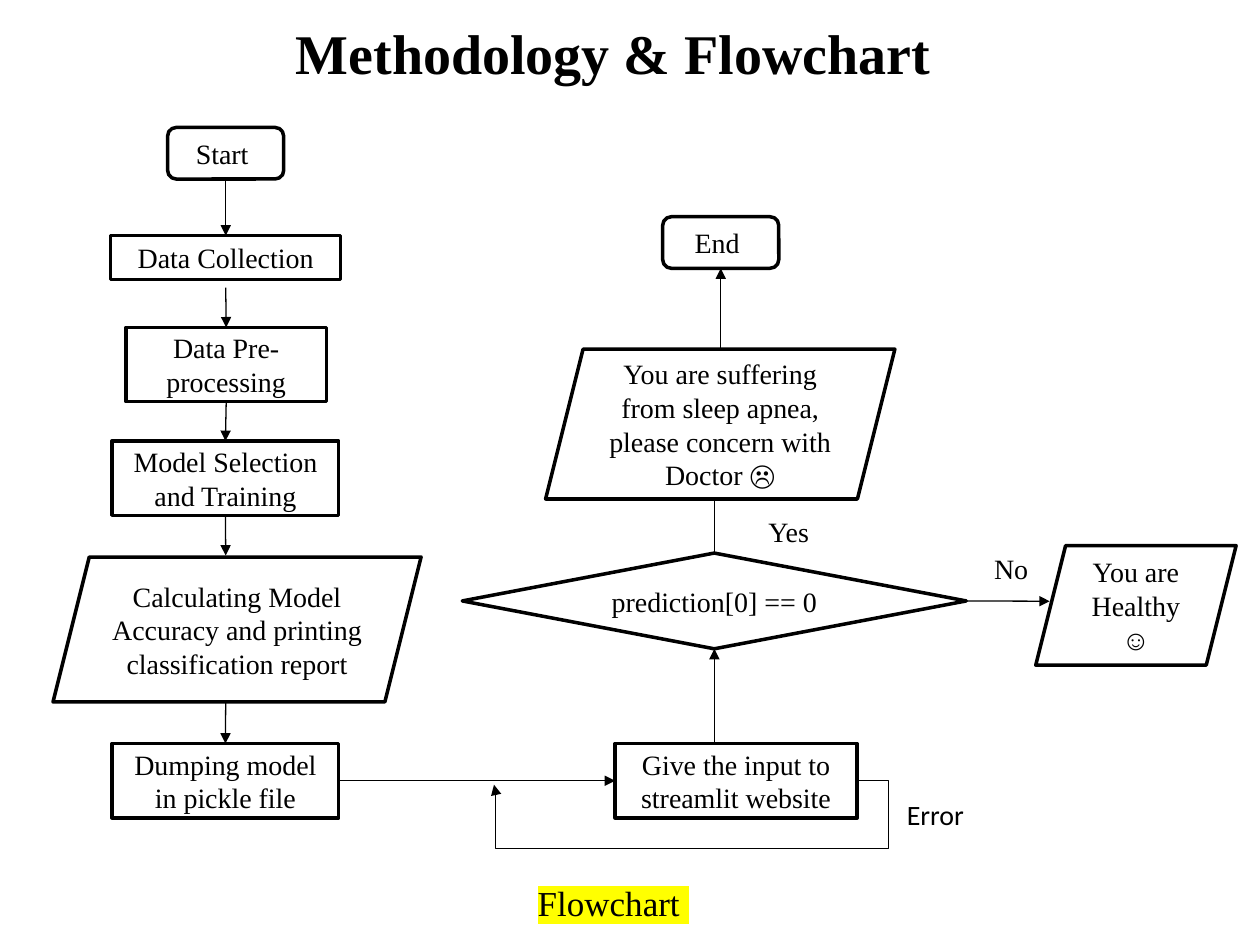
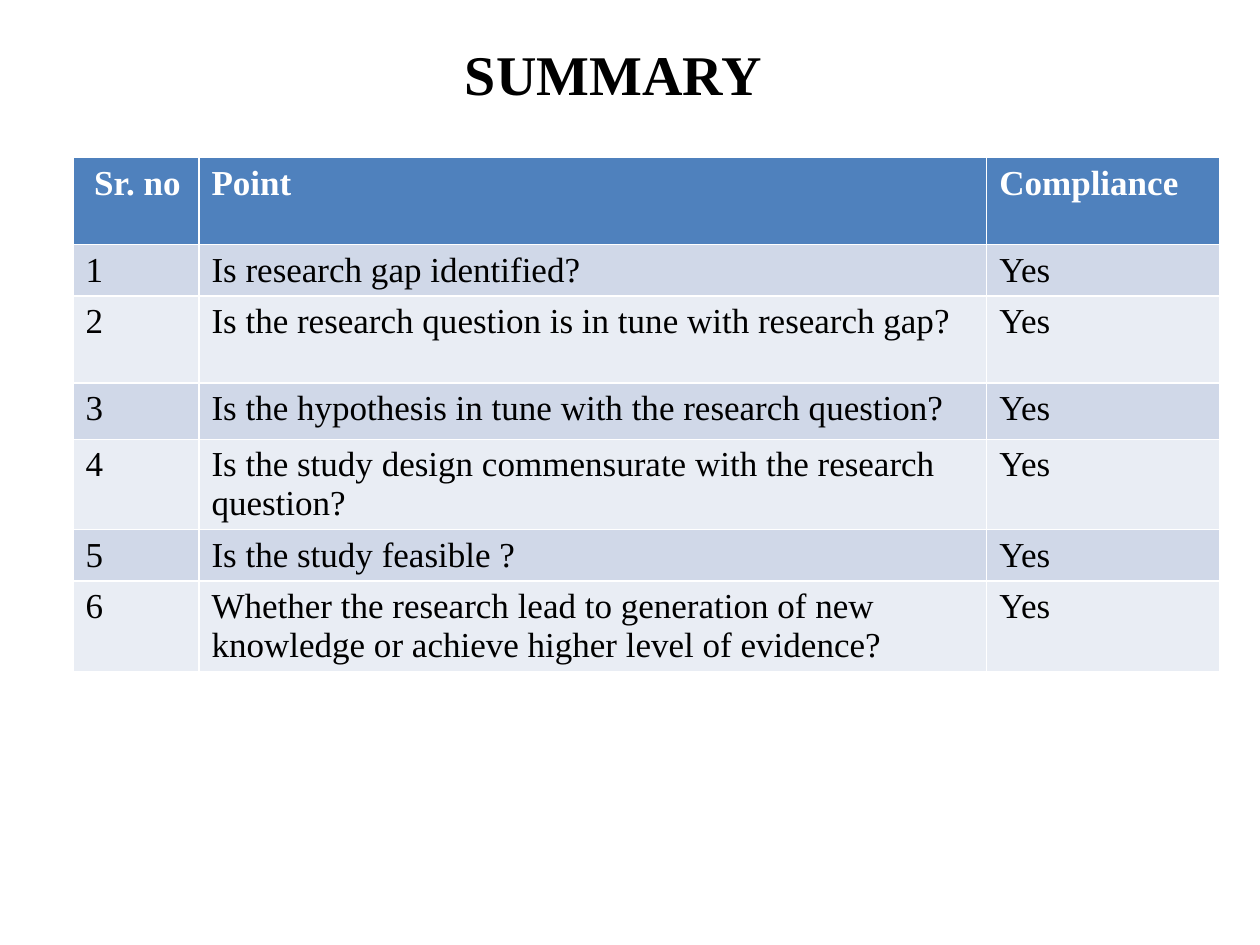
"""Build a flowchart slide and a summary table slide."""
import dataclasses

import pptx
import pptx.dml.color
import pptx.enum.shapes
import pptx.enum.text
import pptx.oxml
import pptx.oxml.ns
import pptx.util

Cm, Pt = pptx.util.Cm, pptx.util.Pt
Kind = pptx.enum.shapes.MSO_SHAPE
Wire = pptx.enum.shapes.MSO_CONNECTOR
Align = pptx.enum.text.PP_ALIGN
Anchor = pptx.enum.text.MSO_ANCHOR
TOP, LEFT, BOTTOM, RIGHT = range(4)


@dataclasses.dataclass(frozen=True)
class Theme:
    """Colours, fonts, type sizes and line widths."""
    font: str = "Times New Roman"
    plain: str = "Calibri"
    ink: str = "000000"
    paper: str = "FFFFFF"
    mark: str = "FFFF00"
    head: str = "4F81BD"
    bands: tuple = ("D0D8E8", "E9EDF4")
    title: int = 32
    large: int = 20
    small: int = 16
    edge: float = 2
    thin: float = 0.75


THEME = Theme()

BOXES = {
    "start": (Kind.ROUNDED_RECTANGLE, 3.38, 2.57, 2.34, 1.04, "Start "),
    "collect": (Kind.RECTANGLE, 2.23, 4.75, 4.64, 0.89, "Data Collection"),
    "prep": (Kind.RECTANGLE, 2.54, 6.6, 4.04, 1.5, "Data Pre-processing"),
    "train": (Kind.RECTANGLE, 2.26, 8.89, 4.57, 1.5,
              "Model Selection and Training"),
    "report": (Kind.PARALLELOGRAM, 1.07, 11.23, 7.42, 2.92,
               "Calculating Model Accuracy and printing classification report"),
    "dump": (Kind.RECTANGLE, 2.26, 14.99, 4.57, 1.5,
             "Dumping model in pickle file"),
    "input": (Kind.RECTANGLE, 12.4, 14.99, 4.88, 1.5,
              "Give the input to streamlit website"),
    "test": (Kind.DIAMOND, 9.32, 11.15, 10.16, 1.93, "prediction[0] == 0"),
    "ill": (Kind.PARALLELOGRAM, 11, 7.04, 7.04, 3.02,
            "You are suffering from sleep apnea, please concern with Doctor ☹"),
    "well": (Kind.PARALLELOGRAM, 20.88, 11, 4.04, 2.41, "You are Healthy ☺"),
    "end": (Kind.ROUNDED_RECTANGLE, 13.36, 4.37, 2.34, 1.04, "End "),
}

LINKS = [
    (("start", BOTTOM), ("collect", TOP), True),
    ((4.55, 5.8), ("prep", TOP), True),
    (("prep", BOTTOM), ("train", TOP), True),
    (("train", BOTTOM), (4.55, 11.2), True),
    ((4.55, 14.15), ("dump", TOP), True),
    (("dump", RIGHT), ("input", LEFT), True),
    ((14.4, 14.99), ("test", BOTTOM), True),
    (("test", TOP), (14.4, 10.06), False),
    (("test", RIGHT), (21.16, 12.12), True),
    ((14.53, 7.04), ("end", BOTTOM), True),
]

LOOP = {"start": (17.28, 15.74), "end": (9.96, 15.82),
        "out": 0.64, "drop": 1.37, "back": 0.995}

NOTES = [
    (15.24, 10.24, "Yes", THEME.font, THEME.small, None),
    (19.79, 11, "No", THEME.font, THEME.small, None),
    (18.03, 15.95, "Error", THEME.plain, THEME.small, None),
    (10.59, 17.65, "Flowchart ", THEME.font, THEME.large, THEME.mark),
]

HEAD = (" Sr. no", "Point", "Compliance")
POINTS = [
    ("Is research gap identified?", 1),
    ("Is the research question is in tune with research gap?", 1.75),
    ("Is the hypothesis in tune with the research question?", 1.14),
    ("Is the study design commensurate with the research question?", 1.75),
    ("Is the study feasible ?", 1),
    ("Whether the research lead to generation of new knowledge or achieve "
     "higher level of evidence?", 1.75),
]
REPLY = "Yes"
COLS = (2.54, 15.88, 4.7)
TALL = 1.75


def rgb(code):
    """Turn a hex code into a colour."""
    return pptx.dml.color.RGBColor.from_string(code)


def write(frame, text, size, font=THEME.font, ink=THEME.ink, bold=False,
          align=None):
    """Put one formatted line of text into a frame."""
    frame.text = text
    para = frame.paragraphs[0]
    para.alignment = align
    face = para.runs[0].font
    face.size, face.name, face.bold = Pt(size), font, bold
    face.color.rgb = rgb(ink)
    return para.runs[0]


def new_slide(deck, text, top):
    """Add a slide with a title."""
    slide = deck.slides.add_slide(deck.slide_layouts[5])
    head = slide.shapes.title
    head.left, head.top = Cm(1.47), Cm(top)
    head.width, head.height = Cm(21.79), Cm(2.41)
    head.text_frame.vertical_anchor = Anchor.MIDDLE
    write(head.text_frame, text, THEME.title, bold=True, align=Align.CENTER)
    return slide


def add_box(slide, kind, left, top, width, height, text):
    """Add one outlined step."""
    box = slide.shapes.add_shape(kind, *map(Cm, (left, top, width, height)))
    box.shadow.inherit = False
    box.fill.solid()
    box.fill.fore_color.rgb = rgb(THEME.paper)
    box.line.color.rgb = rgb(THEME.ink)
    box.line.width = Pt(THEME.edge)
    box.text_frame.word_wrap = True
    box.text_frame.vertical_anchor = Anchor.MIDDLE
    write(box.text_frame, text, THEME.small, align=Align.CENTER)
    return box


def add_wire(slide, kind, start, end, head=True):
    """Add a thin line between two points, with or without a head."""
    wire = slide.shapes.add_connector(kind, *map(Cm, start + end))
    wire.line.color.rgb = rgb(THEME.ink)
    wire.line.width = Pt(THEME.thin)
    props = wire._element.spPr
    pptx.oxml.ns.qn("a:ln")
    if head:
        tail = pptx.oxml.parse_xml(
            f'<a:tailEnd {pptx.oxml.ns.nsdecls("a")} type="triangle"/>')
        props.find(pptx.oxml.ns.qn("a:ln")).append(tail)
    props.append(pptx.oxml.parse_xml(
        f'<a:effectLst {pptx.oxml.ns.nsdecls("a")}/>'))
    return wire


def spot(end):
    """Give the point at which a link ends."""
    if not isinstance(end[0], str):
        return end
    left, top, width, height = BOXES[end[0]][1:5]
    across, down = ((0.5, 0), (0, 0.5), (0.5, 1), (1, 0.5))[end[1]]
    return left + across * width, top + down * height


def add_link(slide, boxes, start, end, head):
    """Add a straight link and join it to its boxes."""
    wire = add_wire(slide, Wire.STRAIGHT, spot(start), spot(end), head)
    for place, join in ((start, wire.begin_connect), (end, wire.end_connect)):
        if isinstance(place[0], str):
            join(boxes[place[0]], place[1])


def add_loop(slide):
    """Add the bent line that leads back to the input."""
    start, end = LOOP["start"], LOOP["end"]
    wire = add_wire(slide, Wire.ELBOW, start, end)
    shape = wire._element.spPr.find(pptx.oxml.ns.qn("a:prstGeom"))
    shape.set("prst", "bentConnector5")
    bends = (-LOOP["out"] / (start[0] - end[0]),
             LOOP["drop"] / (end[1] - start[1]), LOOP["back"])
    guides = "".join(f'<a:gd name="adj{n}" fmla="val {round(bend * 100000)}"/>'
                     for n, bend in enumerate(bends, 1))
    for old in list(shape):
        shape.remove(old)
    shape.append(pptx.oxml.parse_xml(
        f'<a:avLst {pptx.oxml.ns.nsdecls("a")}>{guides}</a:avLst>'))


def add_note(slide, left, top, text, font, size, mark):
    """Add a loose label, marked if a colour is given."""
    note = slide.shapes.add_textbox(Cm(left), Cm(top), Cm(4), Cm(0.94))
    note.text_frame.word_wrap = True
    run = write(note.text_frame, text, size, font)
    if mark:
        glow = pptx.oxml.parse_xml(
            f'<a:highlight {pptx.oxml.ns.nsdecls("a")}>'
            f'<a:srgbClr val="{mark}"/></a:highlight>')
        run._r.rPr.find(pptx.oxml.ns.qn("a:latin")).addprevious(glow)


def add_grid(slide):
    """Add the table of points."""
    rows = [HEAD] + [(str(n), text, REPLY)
                     for n, (text, _) in enumerate(POINTS, 1)]
    sizes = [TALL] + [tall for _, tall in POINTS]
    grid = slide.shapes.add_table(
        len(rows), len(COLS), Cm(1.47), Cm(3.18),
        Cm(sum(COLS)), Cm(sum(sizes))).table
    for col, width in zip(grid.columns, COLS):
        col.width = Cm(width)
    for n, (row, tall) in enumerate(zip(rows, sizes)):
        grid.rows[n].height = Cm(tall)
        top = n == 0
        for m, text in enumerate(row):
            cell = grid.cell(n, m)
            cell.fill.solid()
            cell.fill.fore_color.rgb = rgb(
                THEME.head if top else THEME.bands[(n - 1) % 2])
            write(cell.text_frame, text, THEME.large, bold=top,
                  ink=THEME.paper if top else THEME.ink)


def main():
    """Build and save both slides."""
    deck = pptx.Presentation()
    deck.slide_width, deck.slide_height = Cm(25.4), Cm(19.05)

    chart = new_slide(deck, "Methodology & Flowchart", -0.15)
    boxes = {name: add_box(chart, *box) for name, box in BOXES.items()}
    for link in LINKS:
        add_link(chart, boxes, *link)
    add_loop(chart)
    for note in NOTES:
        add_note(chart, *note)

    add_grid(new_slide(deck, "SUMMARY", 0.27))
    deck.save("out.pptx")


if __name__ == "__main__":
    main()
